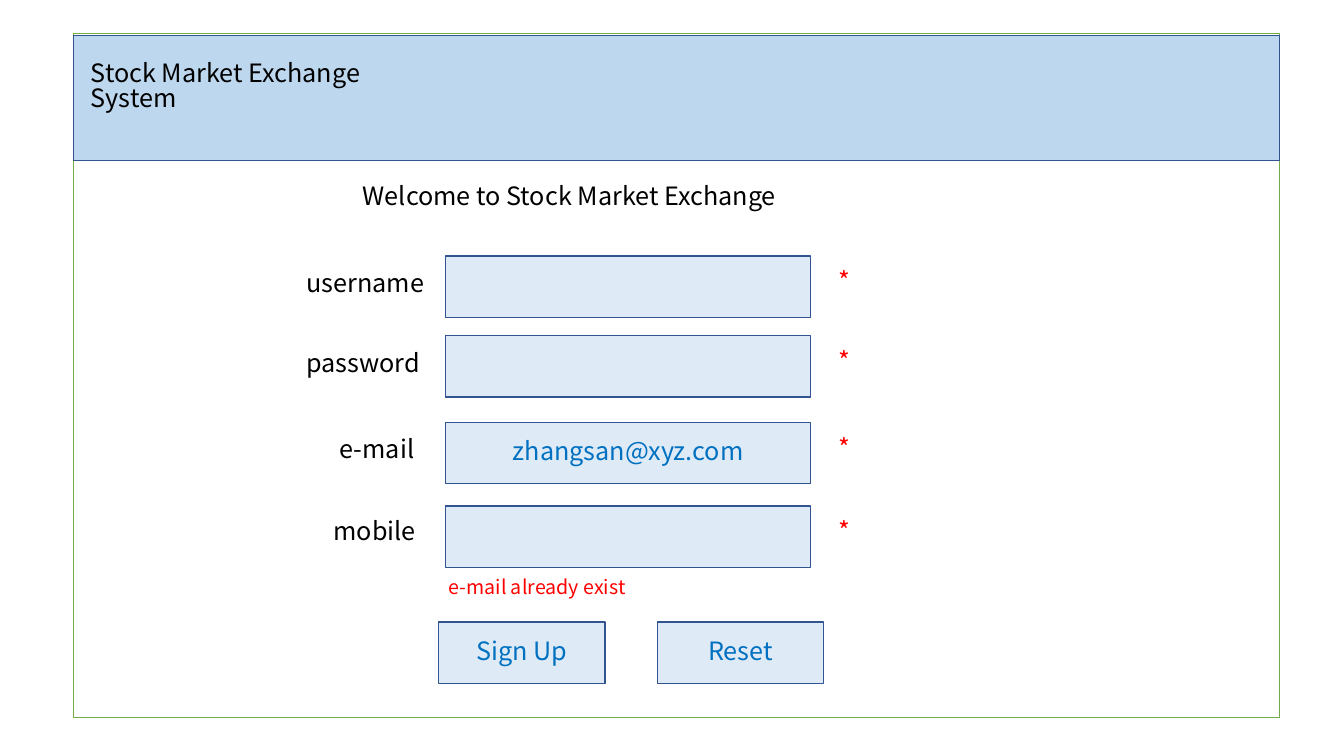
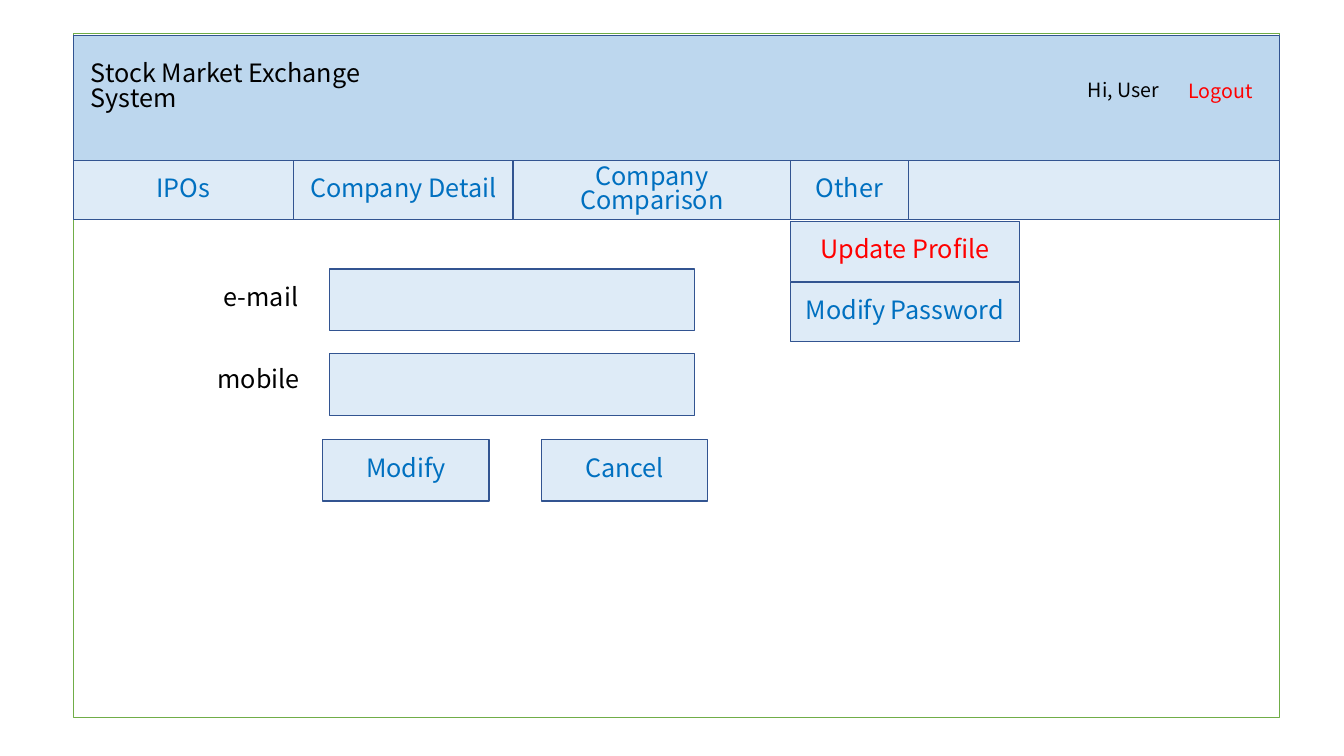
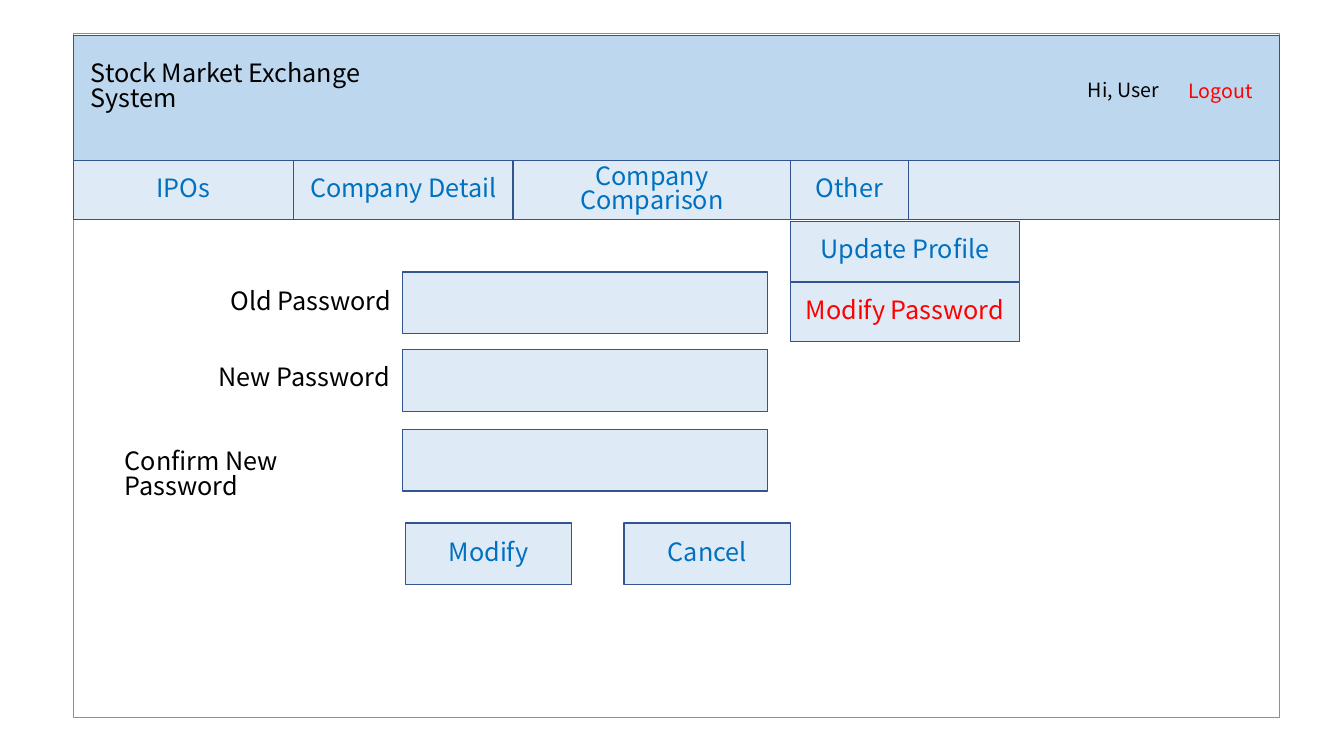
"""Build three wireframe screens of a stock exchange web application."""
from dataclasses import dataclass

from pptx import Presentation
from pptx.dml.color import RGBColor
from pptx.enum import shapes, text
from pptx.util import Inches, Pt


@dataclass(frozen=True)
class Theme:
    """Colours, type and recurring sizes of the screens."""
    font: str = "Noto Sans CJK SC"
    body: int = 18
    small: int = 14
    spacing: float = 0.82
    black: str = "000000"
    blue: str = "0070C0"
    red: str = "FF0000"
    white: str = "FFFFFF"
    band: str = "BDD7EE"
    pale: str = "DEEBF7"
    edge: str = "325491"
    frame: str = "70AD47"
    left: float = 0.73
    width: float = 11.96
    nav_top: float = 1.59
    nav_h: float = 0.59
    field_w: float = 3.62
    field_h: float = 0.61
    button_w: float = 1.65
    button_step: float = 2.17


T = Theme()


def write(sp, words, size=T.body, color=T.black, align=text.PP_ALIGN.LEFT,
          anchor=text.MSO_ANCHOR.TOP):
    """Put one formatted paragraph into a shape."""
    tf = sp.text_frame
    frame_format = {"word_wrap": True, "auto_size": text.MSO_AUTO_SIZE.NONE,
                    "vertical_anchor": anchor,
                    "margin_left": Inches(0.1), "margin_right": Inches(0.1),
                    "margin_top": Inches(0.05), "margin_bottom": Inches(0.05)}
    for name, value in frame_format.items():
        setattr(tf, name, value)
    p = tf.paragraphs[0]
    p.alignment, p.line_spacing = align, T.spacing
    r = p.add_run()
    r.text = words
    for name, value in {"name": T.font, "size": Pt(size), "bold": False}.items():
        setattr(r.font, name, value)
    r.font.color.rgb = RGBColor.from_string(color)


def label(s, words, x, y, w=1.42, h=0.4, **style):
    """Add a plain text box."""
    write(s.shapes.add_textbox(*map(Inches, (x, y, w, h))), words, **style)


def box(s, x, y, w, h, words="", fill=T.pale, line=T.edge, color=T.blue):
    """Add an outlined rectangle with optional centred text."""
    sp = s.shapes.add_shape(shapes.MSO_SHAPE.RECTANGLE, *map(Inches, (x, y, w, h)))
    sp.shadow.inherit = False
    sp.fill.solid()
    sp.fill.fore_color.rgb = RGBColor.from_string(fill)
    sp.line.color.rgb = RGBColor.from_string(line)
    sp.line.width = Pt(1)
    if words:
        write(sp, words, color=color, align=text.PP_ALIGN.CENTER,
              anchor=text.MSO_ANCHOR.MIDDLE)
    return sp


def screen(prs):
    """Add a slide with the page frame, the header band and the title."""
    s = prs.slides.add_slide(prs.slide_layouts[5])
    box(s, T.left, 0.33, T.width, 6.79, fill=T.white, line=T.frame)
    band = box(s, T.left, 0.35, T.width, 1.24, fill=T.band)
    title = s.shapes.title
    place = {"left": 0.8, "top": 0.57, "width": 3.7, "height": 0.7}
    for name, value in place.items():
        setattr(title, name, Inches(value))
    write(title, "Stock Market Exchange System")
    band.element.addnext(title.element)
    return s


def user_screen(prs, active):
    """Add a screen for a logged-in user with one menu entry highlighted."""
    s = screen(prs)
    box(s, T.left, T.nav_top, T.width, T.nav_h)
    x = T.left
    tabs = (("IPOs", 2.18), ("Company Detail", 2.18),
            ("Company Comparison", 2.75), ("Other", 1.17))
    for words, w in tabs:
        box(s, x, T.nav_top, w, T.nav_h, words)
        x += w
    for i, words in enumerate(("Update Profile", "Modify Password")):
        box(s, 7.84, 2.2 + 0.6 * i, 2.27, T.nav_h, words,
            color=T.red if words == active else T.blue)
    label(s, "Hi, User", 10.69, 0.77, 1.44, 0.34, size=T.small)
    label(s, "Logout", 11.69, 0.78, 1.44, 0.34, size=T.small, color=T.red)
    return s


def form(s, field_x, rows, label_w=1.42, required=False):
    """Add labelled entry fields, with red stars if they are required."""
    for words, label_x, y, dy, value in rows:
        box(s, field_x, y, T.field_w, T.field_h, value)
        label(s, words, label_x, y + dy, label_w)
        if required:
            label(s, "*", field_x + 3.8, y + 0.1, color=T.red)


def buttons(s, x, y, names):
    """Add a row of equally spaced buttons."""
    for i, words in enumerate(names):
        box(s, x + T.button_step * i, y, T.button_w, T.field_h, words)


def main():
    """Build and save the deck."""
    prs = Presentation()
    prs.slide_width, prs.slide_height = Inches(13.33), Inches(7.5)

    s = screen(prs)
    label(s, "Welcome to Stock Market Exchange", 3.5, 1.79, 4.99)
    form(s, 4.42, (("username", 2.94, 2.54, 0.12, ""),
                   ("password", 2.94, 3.33, 0.12, ""),
                   ("e-mail", 3.27, 4.19, 0.11, "zhangsan@xyz.com"),
                   ("mobile", 3.21, 5.02, 0.1, "")), required=True)
    label(s, "e-mail already exist", 4.35, 5.7, 2.51, 0.34, size=T.small, color=T.red)
    buttons(s, 4.35, 6.17, ("Sign Up", "Reset"))

    s = user_screen(prs, "Update Profile")
    form(s, 3.27, (("e-mail", 2.12, 2.67, 0.12, ""),
                   ("mobile", 2.06, 3.51, 0.1, "")))
    buttons(s, 3.2, 4.36, ("Modify", "Cancel"))

    s = user_screen(prs, "Modify Password")
    form(s, 3.99, (("Old Password", 2.19, 2.7, 0.13, ""),
                   ("New Password", 2.07, 3.47, 0.12, ""),
                   ("Confirm New Password", 1.14, 4.26, 0.16, "")), label_w=2.82)
    buttons(s, 4.02, 5.19, ("Modify", "Cancel"))

    prs.save("out.pptx")


if __name__ == "__main__":
    main()
